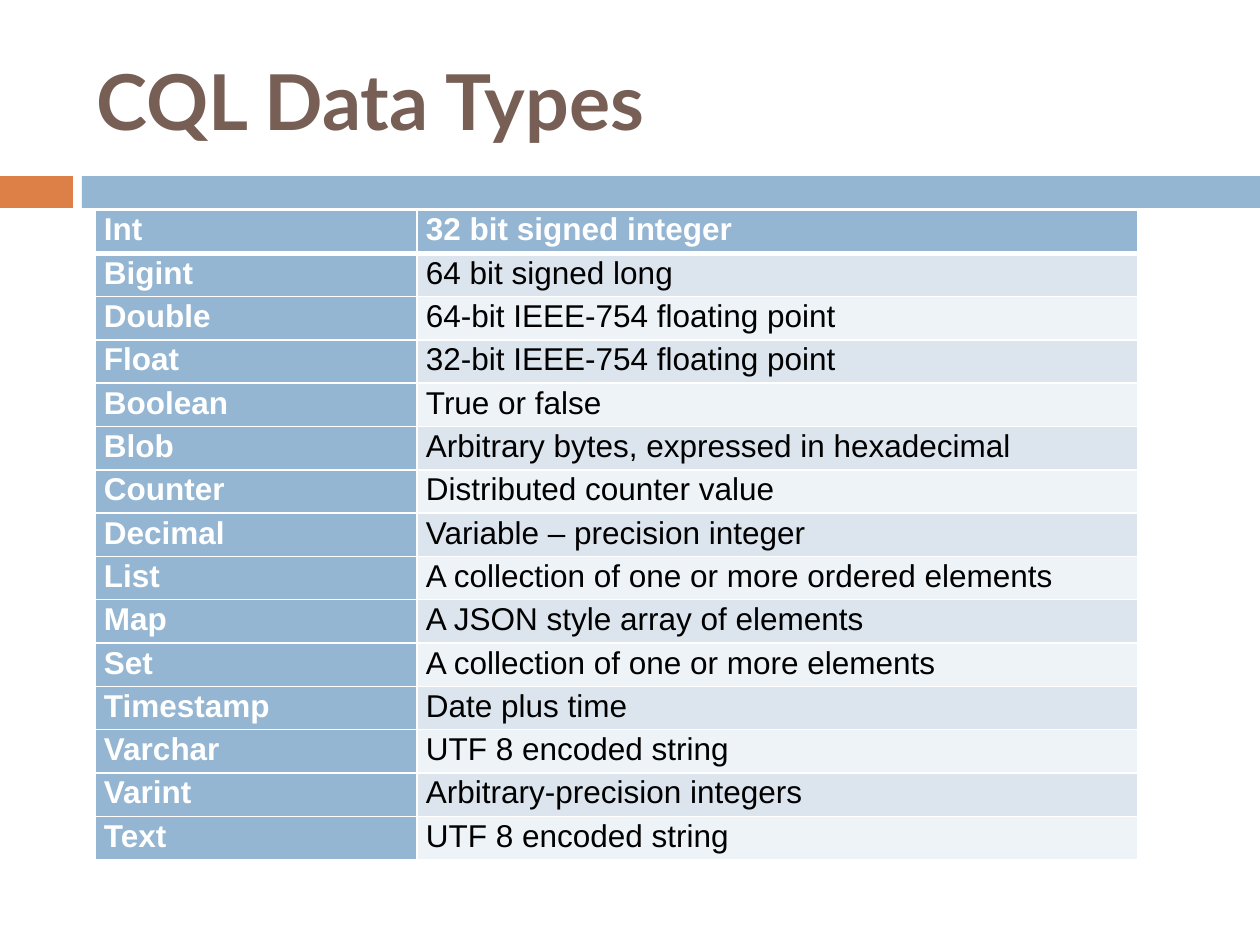
from lxml.etree import SubElement
from pptx import Presentation
from pptx.dml.color import RGBColor
from pptx.enum.shapes import MSO_SHAPE as Shape
from pptx.enum.text import MSO_ANCHOR as Anchor, PP_ALIGN as Align
from pptx.oxml.ns import qn
from pptx.util import Emu, Pt

COLORS = {
    "orange": "DD8047",
    "blue": "94B6D2",
    "brown": "775F55",
    "dark_band": "DCE5EE",
    "light_band": "EEF3F7",
    "white": "FFFFFF",
    "black": "000000",
}
DATA_TYPES = [
    ("Int", "32 bit signed integer"),
    ("Bigint", "64 bit signed long"),
    ("Double", "64-bit IEEE-754 floating point"),
    ("Float", "32-bit IEEE-754 floating point"),
    ("Boolean", "True or false"),
    ("Blob", "Arbitrary bytes, expressed in hexadecimal"),
    ("Counter", "Distributed counter value"),
    ("Decimal", "Variable – precision integer"),
    ("List", "A collection of one or more ordered elements"),
    ("Map", "A JSON style array of elements"),
    ("Set", "A collection of one or more elements"),
    ("Timestamp", "Date plus time"),
    ("Varchar", "UTF 8 encoded string"),
    ("Varint", "Arbitrary-precision integers"),
    ("Text", "UTF 8 encoded string"),
]


def px(length):
    return Emu(length * 914400 // 126)


def style_font(paragraph, name, size, color, bold):
    font = paragraph.runs[0].font
    font.name = name
    font.size = Pt(size)
    font.bold = bold
    font.color.rgb = RGBColor.from_string(COLORS[color])


presentation = Presentation()
presentation.slide_width = px(1260)
presentation.slide_height = px(945)
slide = presentation.slides.add_slide(presentation.slide_layouts[6])

for left, width, color in [(0, 73, "orange"), (82, 1178, "blue")]:
    bar = slide.shapes.add_shape(Shape.RECTANGLE, px(left), px(176), px(width), px(32))
    bar.shadow.inherit = False
    bar.fill.solid()
    bar.fill.fore_color.rgb = RGBColor.from_string(COLORS[color])
    bar.line.fill.background()

title = slide.shapes.add_textbox(px(84), px(32), px(1124), px(136))
title.text_frame.word_wrap = True
title.text_frame.vertical_anchor = Anchor.MIDDLE
title.text_frame.text = "CQL Data Types"
style_font(title.text_frame.paragraphs[0], "Lato", 44, "brown", True)

table = slide.shapes.add_table(
    len(DATA_TYPES), 2, px(95), px(210), px(1043), px(650)
).table
table.columns[0].width = px(322)
table.columns[1].width = px(721)

for row, texts in enumerate(DATA_TYPES):
    for column, text in enumerate(texts):
        cell = table.cell(row, column)
        heading = row == 0 or column == 0
        cell.margin_left = cell.margin_right = px(9)
        cell.margin_top = cell.margin_bottom = 0
        cell.text_frame.text = text
        paragraph = cell.text_frame.paragraphs[0]
        paragraph.alignment = Align.JUSTIFY
        paragraph.line_spacing = 1.07
        style_font(paragraph, "Arial", 18, "white" if heading else "black", heading)

        properties = cell._tc.get_or_add_tcPr()
        for side in ("L", "R", "T", "B"):
            thick = (row, side) in [(0, "B"), (1, "T")]
            border = SubElement(properties, qn(f"a:ln{side}"), w=str(Pt(3 if thick else 1)))
            fill = SubElement(border, qn("a:solidFill"))
            SubElement(fill, qn("a:srgbClr"), val=COLORS["white"])

        band = "dark_band" if row % 2 else "light_band"
        cell.fill.solid()
        cell.fill.fore_color.rgb = RGBColor.from_string(COLORS["blue" if heading else band])

presentation.save("out.pptx")
